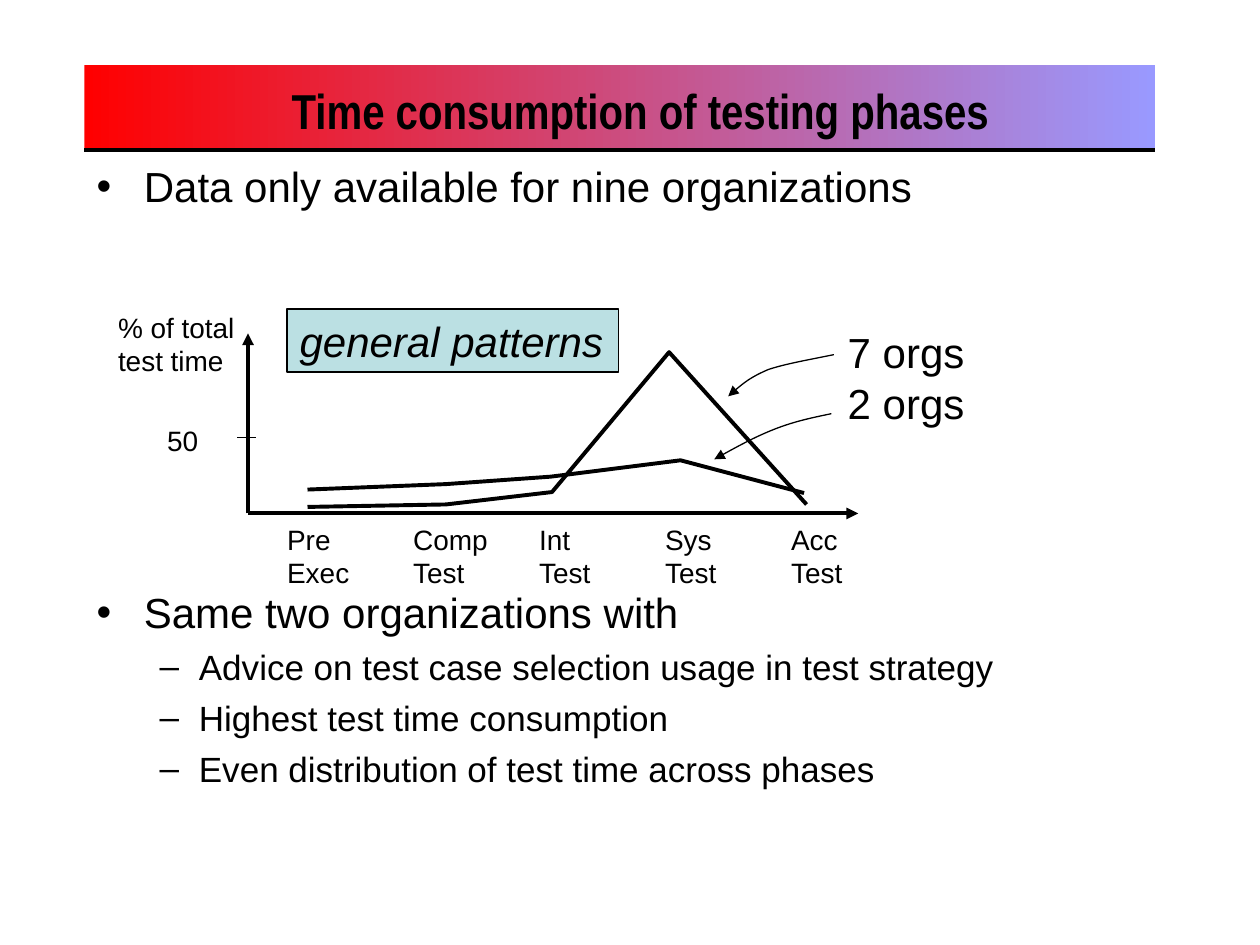
from lxml import etree
from pptx import Presentation
from pptx.dml.color import RGBColor
from pptx.enum.shapes import MSO_CONNECTOR, MSO_SHAPE
from pptx.enum.text import MSO_ANCHOR, PP_ALIGN
from pptx.oxml.ns import qn
from pptx.util import Cm, Pt

STRAIGHT = MSO_CONNECTOR.STRAIGHT
RECTANGLE = MSO_SHAPE.RECTANGLE
MIDDLE = MSO_ANCHOR.MIDDLE
LEFT, CENTER = PP_ALIGN.LEFT, PP_ALIGN.CENTER
BLACK, RED, LILAC, PALE_TEAL = "000000", "FF0000", "9999FF", "BBE0E3"
TAB_STEP = 2.54
TITLE_ONLY = 5

PHASES = [("Pre", "Exec"), ("Comp", "Test"), ("Int", "Test"), ("Sys", "Test"), ("Acc", "Test")]
SEVEN_ORGS = [(4.07, 4.09), (6.86, 4.04), (9, 3.79), (11.36, 0.97), (14.13, 4.04)]
TWO_ORGS = [(4.07, 3.74), (6.86, 3.63), (8.97, 3.48), (11.59, 3.15), (14.08, 3.81)]
SEVEN_ORGS_POINTER = [(14.68, 1.02), (14.2, 1.12), (13.72, 1.2), (13.36, 1.32),
                      (13.01, 1.47), (12.78, 1.65), (12.55, 1.86)]
TWO_ORGS_POINTER = [(14.63, 2.21), (14.25, 2.29), (13.9, 2.36), (13.49, 2.52),
                    (13.11, 2.67), (12.68, 2.9), (12.27, 3.13)]
FINDINGS = [
    ("Same two organizations with", 0),
    ("Advice on test case selection usage in test strategy", 1),
    ("Highest test time consumption", 1),
    ("Even distribution of test time across phases", 1),
]
BULLETS = [
    {"char": "•", "margin": 0.95, "hanging": 0.95, "size": 24, "before": 6},
    {"char": "–", "margin": 2.06, "hanging": 0.79, "size": 20, "before": 5},
]


def rgb(value):
    """Turn a hex string into a colour."""
    return RGBColor.from_string(value)


def add_xml(parent, tag, **attributes):
    """Append a DrawingML element and return it."""
    return etree.SubElement(parent, qn(f"a:{tag}"), attributes)


def write(paragraph, text, size=16, font="Arial", color=BLACK, bold=False, italic=False,
          align=LEFT):
    """Fill a paragraph with formatted text."""
    paragraph.text = text
    paragraph.alignment = align
    style = paragraph.font
    style.size, style.name, style.bold, style.italic = Pt(size), font, bold, italic
    style.color.rgb = rgb(color)


def paragraphs_for(frame, count):
    """Return the given number of paragraphs of a text frame."""
    return [frame.paragraphs[0]] + [frame.add_paragraph() for _ in range(count - 1)]


def add_label(slide, box, lines, tabs=0, **style):
    """Place lines of text that may use the box up to its right edge."""
    frame = slide.shapes.add_textbox(*map(Cm, box)).text_frame
    frame.word_wrap = True
    frame.margin_right = 0
    for paragraph, line in zip(paragraphs_for(frame, len(lines)), lines):
        if tabs:
            stops = add_xml(paragraph._p.get_or_add_pPr(), "tabLst")
            for step in range(1, tabs + 1):
                add_xml(stops, "tab", pos=str(Cm(TAB_STEP * step)), algn="l")
        write(paragraph, line, **style)


def style_line(line, width, arrow=False):
    """Make a black line, with an arrowhead at its end if asked."""
    line.color.rgb = rgb(BLACK)
    line.width = Pt(width)
    if arrow:
        add_xml(line._get_or_add_ln(), "tailEnd", type="triangle")


def add_line(slide, start, end, width=2.25, arrow=False):
    """Draw a straight line between two points."""
    connector = slide.shapes.add_connector(STRAIGHT, *map(Cm, (*start, *end)))
    style_line(connector.line, width, arrow)
    add_xml(connector.element.spPr, "effectLst")
    return connector


def add_outline(slide, points, width=2.25, curved=False, arrow=False):
    """Draw an open line through points, or a Bézier curve steered by them."""
    corners = [(Cm(x), Cm(y)) for x, y in points]
    builder = slide.shapes.build_freeform(*corners[0])
    builder.add_line_segments(corners[1:], close=False)
    outline = builder.convert_to_shape()
    outline.shadow.inherit = False
    outline.fill.background()
    style_line(outline.line, width, arrow)
    if curved:
        segments = list(outline.element.iter(qn("a:lnTo")))
        for first in range(0, len(segments), 3):
            curve = add_xml(segments[first].getparent(), "cubicBezTo")
            for segment in segments[first:first + 3]:
                curve.append(segment[0])
                segment.getparent().remove(segment)


def add_header(slide, box):
    """Place the gradient banner, its rule and the title."""
    left, top, width, height = box
    banner = slide.shapes.add_shape(RECTANGLE, *map(Cm, box))
    banner.shadow.inherit = False
    banner.line.fill.background()
    banner.fill.gradient()
    banner.fill.gradient_angle = 0
    for stop, color, position in zip(banner.fill.gradient_stops, (RED, LILAC), (0, 1)):
        stop.color.rgb = rgb(color)
        stop.position = position
    bottom = top + height
    rule = add_line(slide, (left, bottom), (left + width, bottom))

    title = slide.shapes.title
    title.left, title.top = Cm(left + 0.41), Cm(top + 0.05)
    title.width, title.height = Cm(width), Cm(height)
    title.text_frame.vertical_anchor = MIDDLE
    write(title.text_frame.paragraphs[0], "Time consumption of testing phases",
          size=28, font="Arial Narrow", bold=True, align=CENTER)
    rule.element.addnext(title.element)


def add_bullets(slide, box, items):
    """Place a bullet list of text and level pairs."""
    frame = slide.shapes.add_textbox(*map(Cm, box)).text_frame
    frame.word_wrap = True
    for index, (paragraph, (text, level)) in enumerate(
            zip(paragraphs_for(frame, len(items)), items)):
        bullet = BULLETS[level]
        properties = paragraph._p.get_or_add_pPr()
        properties.set("marL", str(Cm(bullet["margin"])))
        properties.set("indent", str(-Cm(bullet["hanging"])))
        add_xml(add_xml(properties, "buClr"), "srgbClr", val=BLACK)
        add_xml(properties, "buFont", typeface="Arial")
        add_xml(properties, "buChar", char=bullet["char"])
        paragraph.level = level
        paragraph.space_before = Pt(bullet["before"] if index else 0)
        write(paragraph, text, size=bullet["size"])


def add_pattern_figure(slide, box):
    """Sketch the share of test time per phase for both groups."""
    left, top, width, height = box

    def at(x, y):
        return left + x, top + y

    origin = at(2.87, 4.22)
    add_line(slide, origin, at(2.87, 0.59), arrow=True)
    add_line(slide, origin, at(15.17, 4.22), arrow=True)
    add_line(slide, at(2.65, 2.69), at(3.03, 2.69), width=0.75)
    add_label(slide, (*at(0, 0), 2.84, 1.63), ["% of total", "test time"])
    add_label(slide, (*at(0.99, 2.29), 1.12, 0.94), ["50"])
    add_label(slide, (*at(3.41, height - 1.63), 11.76, 1.63),
              ["\t".join(row) for row in zip(*PHASES)], tabs=len(PHASES) - 1)

    for points in (SEVEN_ORGS, TWO_ORGS):
        add_outline(slide, [at(*point) for point in points])
    for points in (SEVEN_ORGS_POINTER, TWO_ORGS_POINTER):
        add_outline(slide, [at(*point) for point in points],
                    width=0.75, curved=True, arrow=True)
    add_label(slide, (*at(width - 2.84, 0.33), 2.84, 2.29), ["7 orgs", "2 orgs"], size=24)

    caption = slide.shapes.add_shape(RECTANGLE, *map(Cm, (*at(3.66, 0.1), 6.68, 1.27)))
    caption.shadow.inherit = False
    caption.fill.solid()
    caption.fill.fore_color.rgb = rgb(PALE_TEAL)
    style_line(caption.line, 1)
    caption.text_frame.word_wrap = True
    write(caption.text_frame.paragraphs[0], "general patterns", size=24, italic=True)


def main():
    """Build and save the slide."""
    presentation = Presentation()
    presentation.slide_width, presentation.slide_height = Cm(25.4), Cm(19.05)
    slide = presentation.slides.add_slide(presentation.slide_layouts[TITLE_ONLY])
    add_header(slide, (1.7, 1.32, 21.59, 1.7))
    add_bullets(slide, (1.7, 3.12, 21.59, 1.3), [("Data only available for nine organizations", 0)])
    add_pattern_figure(slide, (2.13, 6.13, 17.55, 5.9))
    add_bullets(slide, (1.7, 11.7, 21.59, 5.45), FINDINGS)
    presentation.save("out.pptx")


if __name__ == "__main__":
    main()
